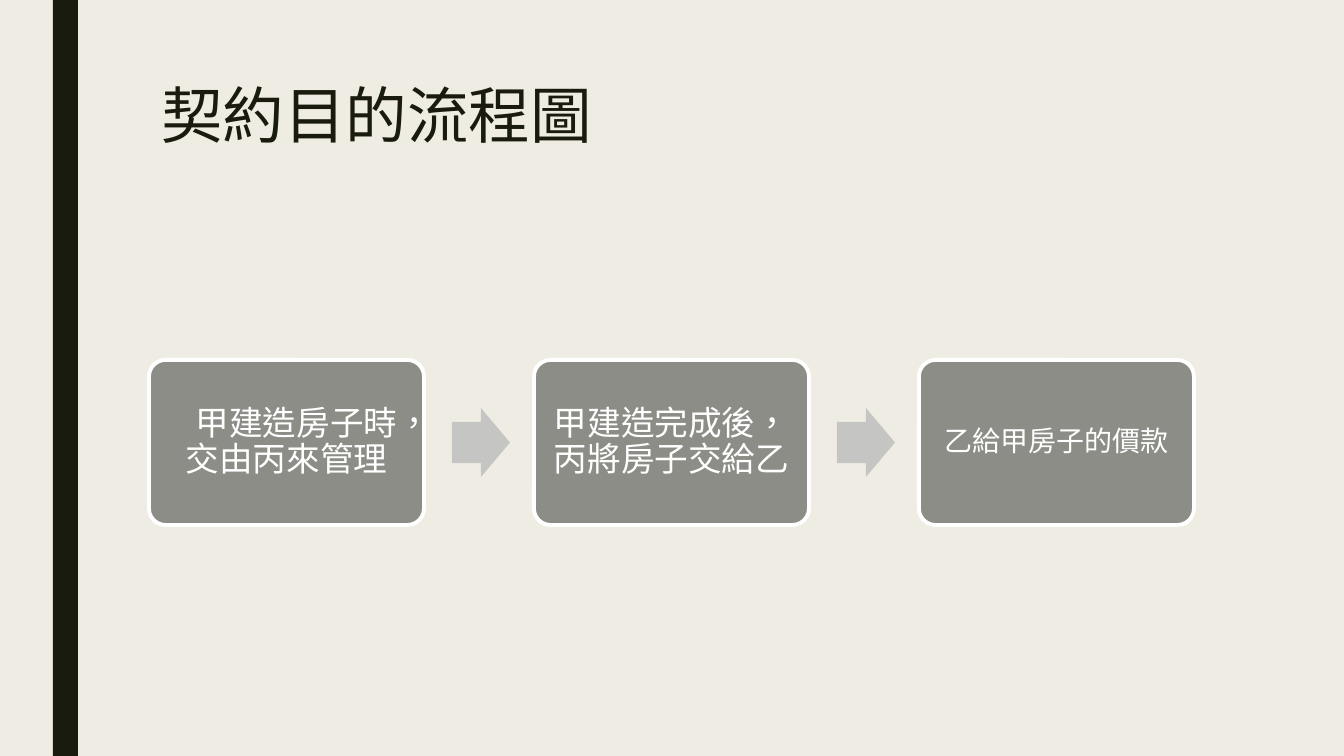
from dataclasses import dataclass

from lxml.etree import SubElement
from pptx import Presentation
from pptx.dml.color import RGBColor
from pptx.enum.shapes import MSO_SHAPE
from pptx.enum.text import MSO_ANCHOR, PP_ALIGN
from pptx.oxml.ns import qn
from pptx.util import Emu, Pt

EMU_PER_PX = 914400 / 100.8


@dataclass(frozen=True)
class Theme:
    font: str = "Roboto"
    background: str = "EFEDE3"
    ink: str = "191B0E"
    step: str = "8C8D86"
    arrow: str = "C5C5C3"
    white: str = "FFFFFF"
    title_size: int = 44
    step_size: int = 24
    short_step_size: int = 20
    outline: float = 2.75


THEME = Theme()
STEPS = [
    # wording, type size, first-line indent, inset
    ("甲建造房子時，交由丙來管理", THEME.step_size, 20, 10),
    ("甲建造完成後，丙將房子交給乙", THEME.step_size, 0, 10),
    ("乙給甲房子的價款", THEME.short_step_size, 0, 8),
]
STEP_LEFT, STEP_TOP, STEP_WIDTH, STEP_HEIGHT = 149, 360, 275, 165
STEP_PITCH = 385
ARROW_WIDTH, ARROW_HEIGHT = 58, 69


def px(length):
    return Emu(round(length * EMU_PER_PX))


def rgb(color):
    return RGBColor.from_string(color)


def write_text(shape, text, *, size, color, align, anchor, spacing, inset=10, indent=0):
    frame = shape.text_frame
    frame.word_wrap = True
    frame.vertical_anchor = anchor
    frame.margin_left = frame.margin_right = px(inset)
    frame.margin_top = frame.margin_bottom = px(inset)
    paragraph = frame.paragraphs[0]
    paragraph.alignment = align
    paragraph.line_spacing = spacing
    if indent:
        properties = paragraph._p.get_or_add_pPr()
        properties.set("marL", "0")
        properties.set("indent", str(px(indent)))
    run = paragraph.add_run()
    run.text = text
    run.font.size = Pt(size)
    run.font.color.rgb = rgb(color)
    run.font.name = THEME.font
    run_properties = run._r.get_or_add_rPr()
    run_properties.set("lang", "zh-TW")
    SubElement(run_properties, qn("a:ea")).set("typeface", THEME.font)


def add_block(slide, kind, left, top, width, height, *, fill, line=None, adjustments=()):
    block = slide.shapes.add_shape(kind, px(left), px(top), px(width), px(height))
    block.shadow.inherit = False
    block.fill.solid()
    block.fill.fore_color.rgb = rgb(fill)
    if line:
        block.line.color.rgb = rgb(line)
        block.line.width = Pt(THEME.outline)
    else:
        block.line.fill.background()
    for index, value in enumerate(adjustments):
        block.adjustments[index] = value
    return block


def add_title(slide, text):
    title = slide.shapes.title
    title.left, title.top, title.width, title.height = map(px, (151, 76, 1058, 163))
    write_text(title, text, size=THEME.title_size, color=THEME.ink, align=PP_ALIGN.LEFT,
               anchor=MSO_ANCHOR.TOP, spacing=0.89, inset=10)


def add_step(slide, left, text, size, indent, inset):
    step = add_block(slide, MSO_SHAPE.ROUNDED_RECTANGLE, left, STEP_TOP, STEP_WIDTH, STEP_HEIGHT,
                     fill=THEME.step, line=THEME.white, adjustments=(0.1,))
    write_text(step, text, size=size, color=THEME.white, align=PP_ALIGN.CENTER,
               anchor=MSO_ANCHOR.MIDDLE, spacing=0.9, inset=inset, indent=indent)


def add_arrow(slide, step_left):
    """Centre an arrow in the gap to the right of a step."""
    gap = STEP_PITCH - STEP_WIDTH
    left = step_left + STEP_WIDTH + (gap - ARROW_WIDTH) // 2 + 2
    top = STEP_TOP + (STEP_HEIGHT - ARROW_HEIGHT) // 2
    add_block(slide, MSO_SHAPE.RIGHT_ARROW, left, top, ARROW_WIDTH, ARROW_HEIGHT,
              fill=THEME.arrow, adjustments=(0.6, 0.5))


def main():
    presentation = Presentation()
    presentation.slide_width, presentation.slide_height = px(1344), px(756)
    slide = presentation.slides.add_slide(presentation.slide_layouts[5])
    slide.background.fill.solid()
    slide.background.fill.fore_color.rgb = rgb(THEME.background)

    add_block(slide, MSO_SHAPE.RECTANGLE, 53, 0, 25, 756, fill=THEME.ink)
    add_title(slide, "契約目的流程圖")
    for index, step in enumerate(STEPS):
        left = STEP_LEFT + index * STEP_PITCH
        add_step(slide, left, *step)
        if index < len(STEPS) - 1:
            add_arrow(slide, left)

    presentation.save("out.pptx")


if __name__ == "__main__":
    main()
